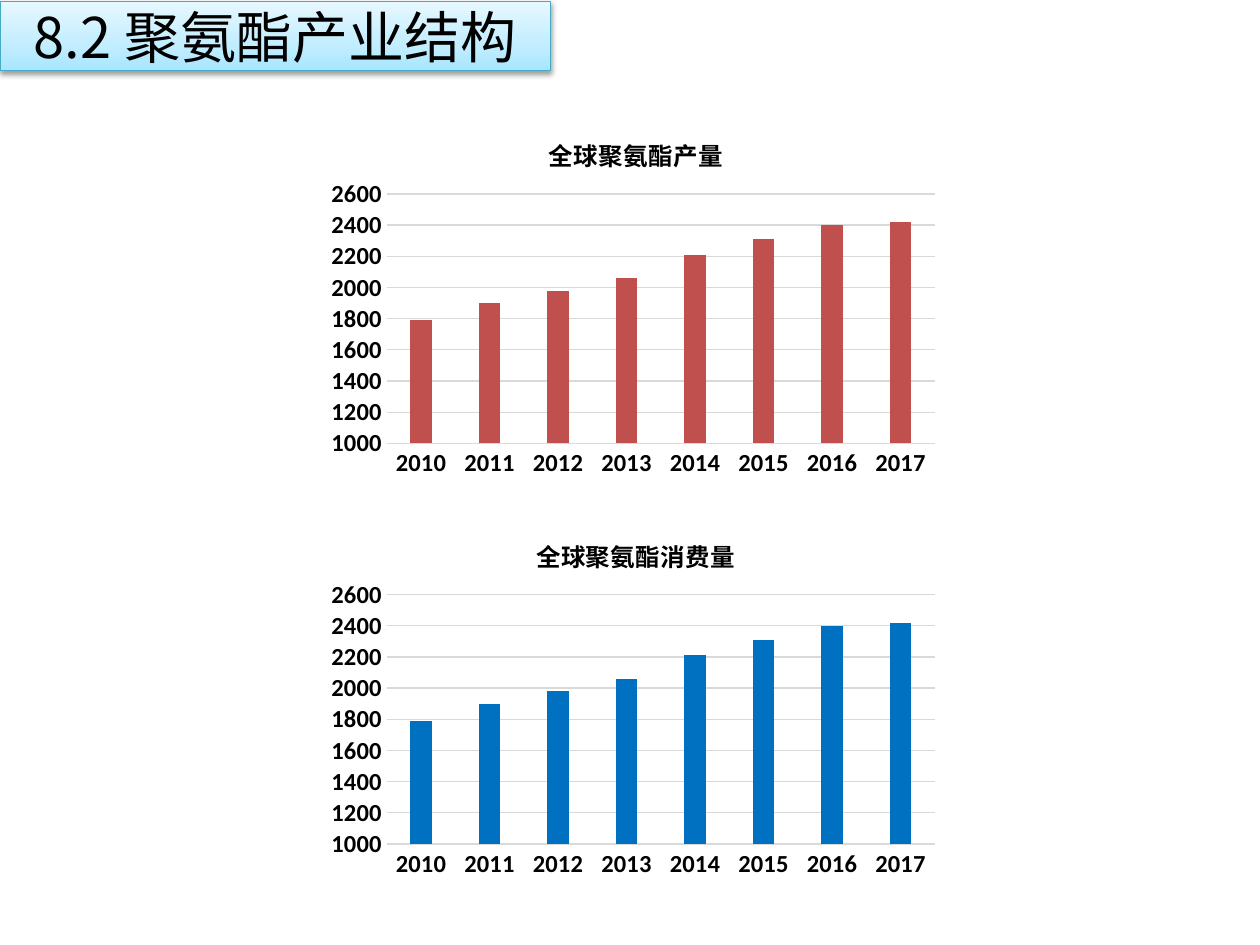
from lxml.etree import SubElement
from pptx import Presentation
from pptx.chart.data import CategoryChartData
from pptx.dml.color import RGBColor
from pptx.enum.chart import XL_CHART_TYPE as ChartType, XL_TICK_MARK as TickMark
from pptx.enum.text import MSO_ANCHOR as Anchor, PP_ALIGN as Align
from pptx.oxml import parse_xml
from pptx.oxml.ns import nsdecls, qn
from pptx.util import Inches, Pt
from copy import deepcopy

BLACK = RGBColor(0x00, 0x00, 0x00)
RED = RGBColor(0xC0, 0x50, 0x4D)
BLUE = RGBColor(0x00, 0x70, 0xC0)
GRID_GRAY = RGBColor(0xD9, 0xD9, 0xD9)
BANNER_EDGE = RGBColor(0x46, 0xAA, 0xC5)
BANNER_STOPS = [
    (0, RGBColor(0xA7, 0xE6, 0xFF)),
    (0.35, RGBColor(0xC1, 0xED, 0xFF)),
    (1, RGBColor(0xE7, 0xF8, 0xFF)),
]
LATIN_FONT = "Calibri"
CHINESE_FONT = "Noto Sans CJK SC"

YEARS = [str(year) for year in range(2010, 2018)]
VOLUMES = [1790, 1900, 1980, 2060, 2210, 2310, 2400, 2420]
CHART_LEFT, CHART_TOP = 2.52, 0.85
CHART_WIDTH, CHART_HEIGHT = 5, 3
ROW_STEP = 3.18
LABEL_SIZE = 14
PLOT_AREA = {"x": 0.11, "y": 0.23, "w": 0.87, "h": 0.66}


def format_font(font, size, bold=False, name=LATIN_FONT):
    font.size = Pt(size)
    font.bold = bold
    font.name = name
    font.color.rgb = BLACK


def put_text(frame, text, size, bold=False, name=CHINESE_FONT):
    para = frame.paragraphs[0]
    para.alignment = Align.CENTER
    span = para.add_run()
    span.text = text
    format_font(span.font, size, bold, name)
    properties = span.font._element
    SubElement(properties, qn("a:ea")).set("typeface", CHINESE_FONT)


def fill_gradient(fill, stops, angle):
    fill.gradient()
    fill.gradient_angle = angle
    stop_list = fill.gradient_stops[0]._gs.getparent()
    stop_list.append(deepcopy(stop_list[0]))
    for stop, (position, color) in zip(fill.gradient_stops, stops):
        stop.position = position
        stop.color.rgb = color


def add_banner(slide, text):
    banner = slide.shapes.title
    banner.left, banner.top = 0, Inches(0.01)
    banner.width, banner.height = Inches(4.37), Inches(0.55)
    properties = banner._element.spPr
    properties.append(parse_xml(
        f'<a:prstGeom {nsdecls("a")} prst="round2DiagRect"><a:avLst/></a:prstGeom>'))
    fill_gradient(banner.fill, BANNER_STOPS, 90)
    banner.line.color.rgb = BANNER_EDGE
    banner.line.width = Pt(0.75)
    properties.append(parse_xml(
        f'<a:effectLst {nsdecls("a")}>'
        '<a:outerShdw blurRad="40000" dist="20000" dir="5400000" rotWithShape="0">'
        '<a:srgbClr val="000000"><a:alpha val="38000"/></a:srgbClr>'
        '</a:outerShdw></a:effectLst>'))
    frame = banner.text_frame
    frame.word_wrap = True
    frame.vertical_anchor = Anchor.MIDDLE
    put_text(frame, text, size=32)


def make_layout(shares, inner=False):
    target = '<c:layoutTarget val="inner"/>' if inner else ""
    modes = "".join(f'<c:{key}Mode val="edge"/>' for key in "xy")
    sizes = "".join(f'<c:{key} val="{share:.2f}"/>' for key, share in shares.items())
    return parse_xml(
        f'<c:layout {nsdecls("c")}><c:manualLayout>{target}{modes}{sizes}'
        '</c:manualLayout></c:layout>')


def place(element, layout, index):
    for old in element.findall(qn("c:layout")):
        element.remove(old)
    element.insert(index, layout)


def format_axis(axis):
    axis.major_tick_mark = TickMark.NONE
    axis.minor_tick_mark = TickMark.NONE
    format_font(axis.tick_labels.font, LABEL_SIZE, bold=True)


def format_gray_line(line):
    line.color.rgb = GRID_GRAY
    line.width = Pt(0.75)


def add_column_chart(slide, row, title, color):
    data = CategoryChartData()
    data.categories = YEARS
    data.add_series("Series 1", VOLUMES)
    chart = slide.shapes.add_chart(
        ChartType.COLUMN_CLUSTERED,
        Inches(CHART_LEFT), Inches(CHART_TOP + row * ROW_STEP),
        Inches(CHART_WIDTH), Inches(CHART_HEIGHT), data).chart
    format_font(chart.font, 10)
    chart.has_legend = False

    put_text(chart.chart_title.text_frame, title, LABEL_SIZE, bold=True, name=LATIN_FONT)
    title_share = len(title) * LABEL_SIZE / Inches(CHART_WIDTH).pt
    title_corner = {"x": 0.5 - title_share / 2, "y": 0.06}
    place(chart.chart_title._element, make_layout(title_corner), 1)
    chart.chart_title.include_in_layout = False
    place(chart._chartSpace.chart.plotArea, make_layout(PLOT_AREA, inner=True), 0)

    plot = chart.plots[0]
    plot.vary_by_categories = False
    plot.gap_width = 219
    plot.overlap = -27
    fill = plot.series[0].format.fill
    fill.solid()
    fill.fore_color.rgb = color

    format_axis(chart.category_axis)
    format_gray_line(chart.category_axis.format.line)
    values = chart.value_axis
    format_axis(values)
    values.minimum_scale, values.maximum_scale = 1000, 2600
    values.major_unit = 200
    values.format.line.fill.background()
    format_gray_line(values.major_gridlines.format.line)


def main():
    deck = Presentation()
    deck.slide_width, deck.slide_height = Inches(10), Inches(7.5)
    slide = deck.slides.add_slide(deck.slide_layouts[5])
    add_banner(slide, "8.2 聚氨酯产业结构")
    add_column_chart(slide, 1, "全球聚氨酯消费量", BLUE)
    add_column_chart(slide, 0, "全球聚氨酯产量", RED)
    deck.save("out.pptx")


if __name__ == "__main__":
    main()
